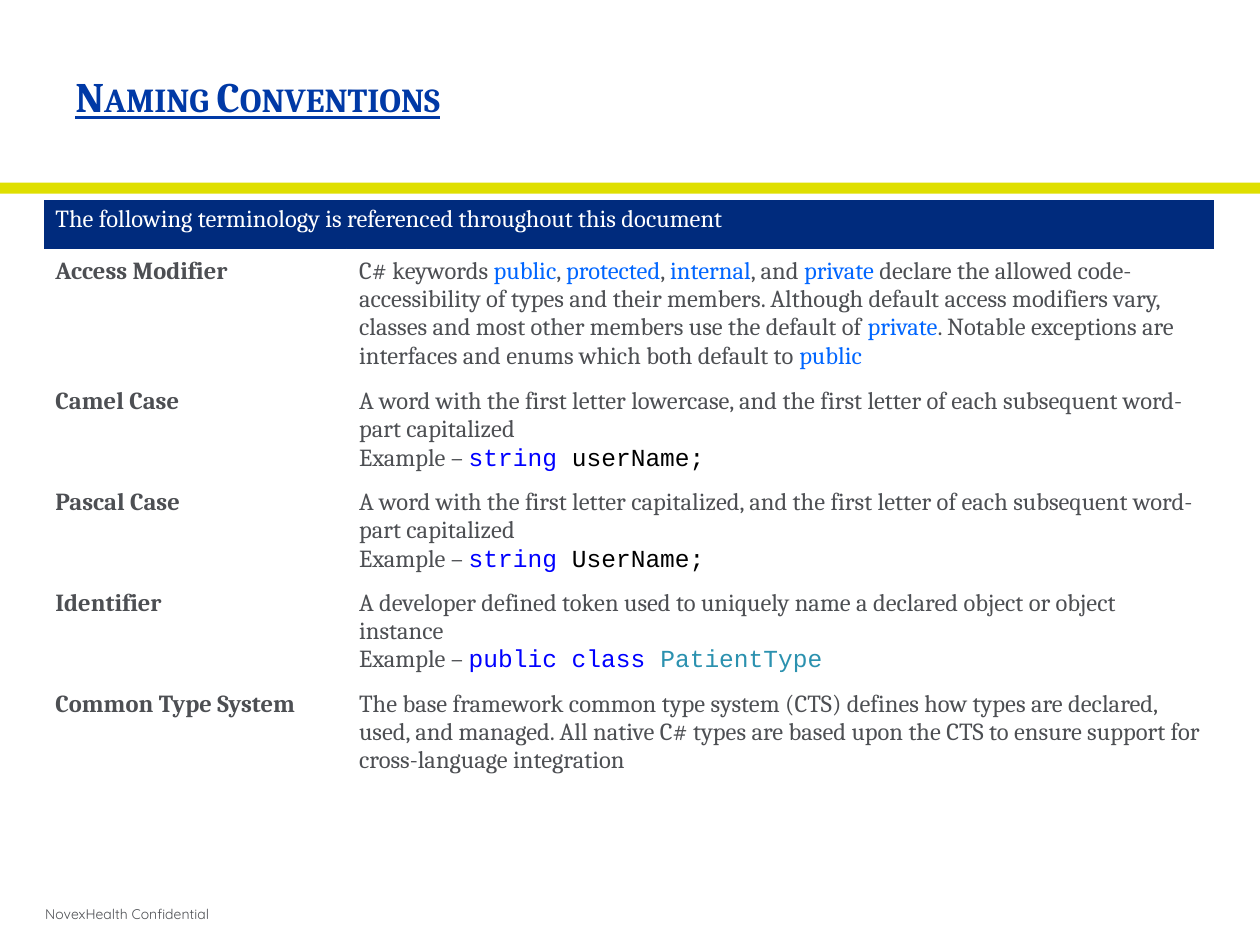
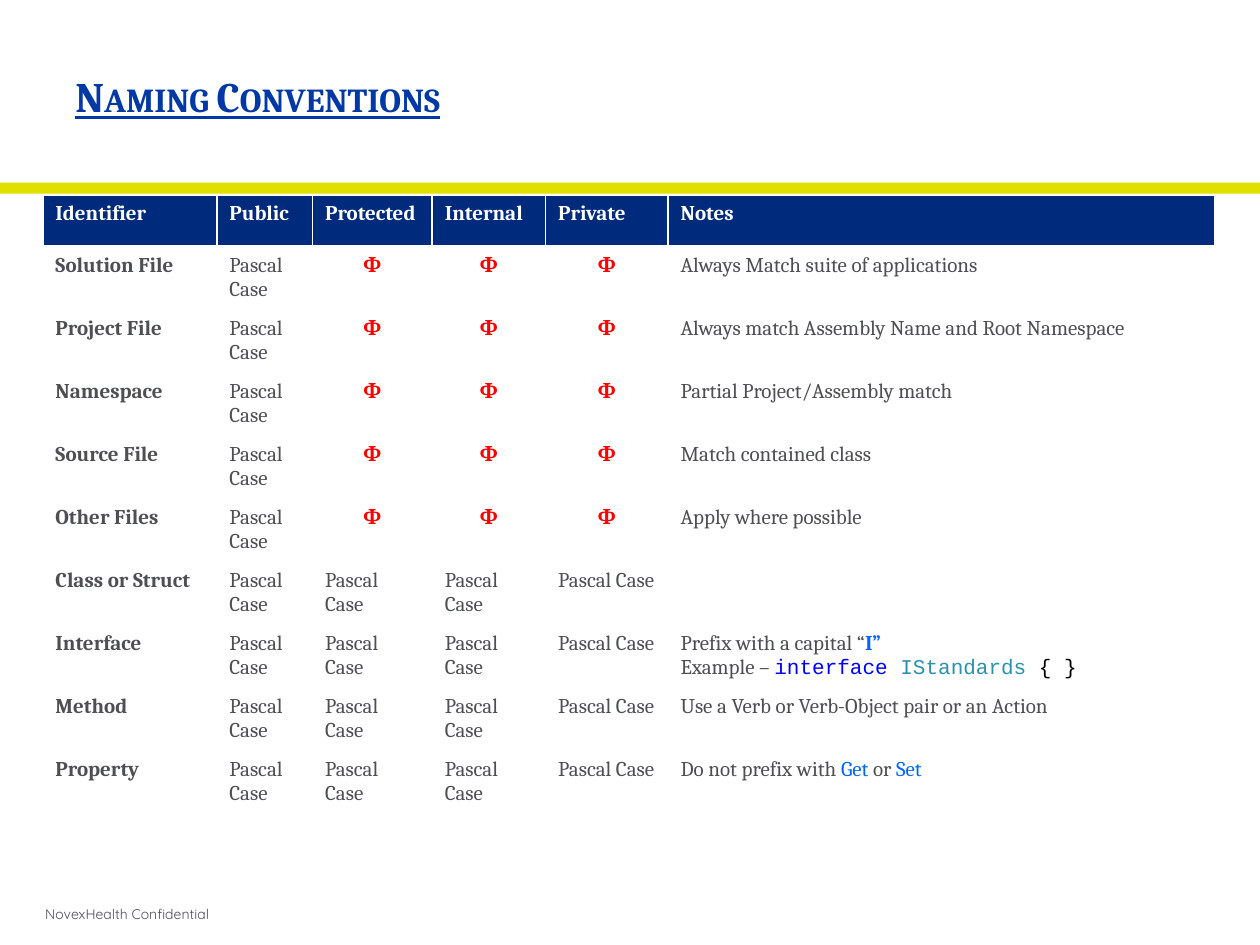
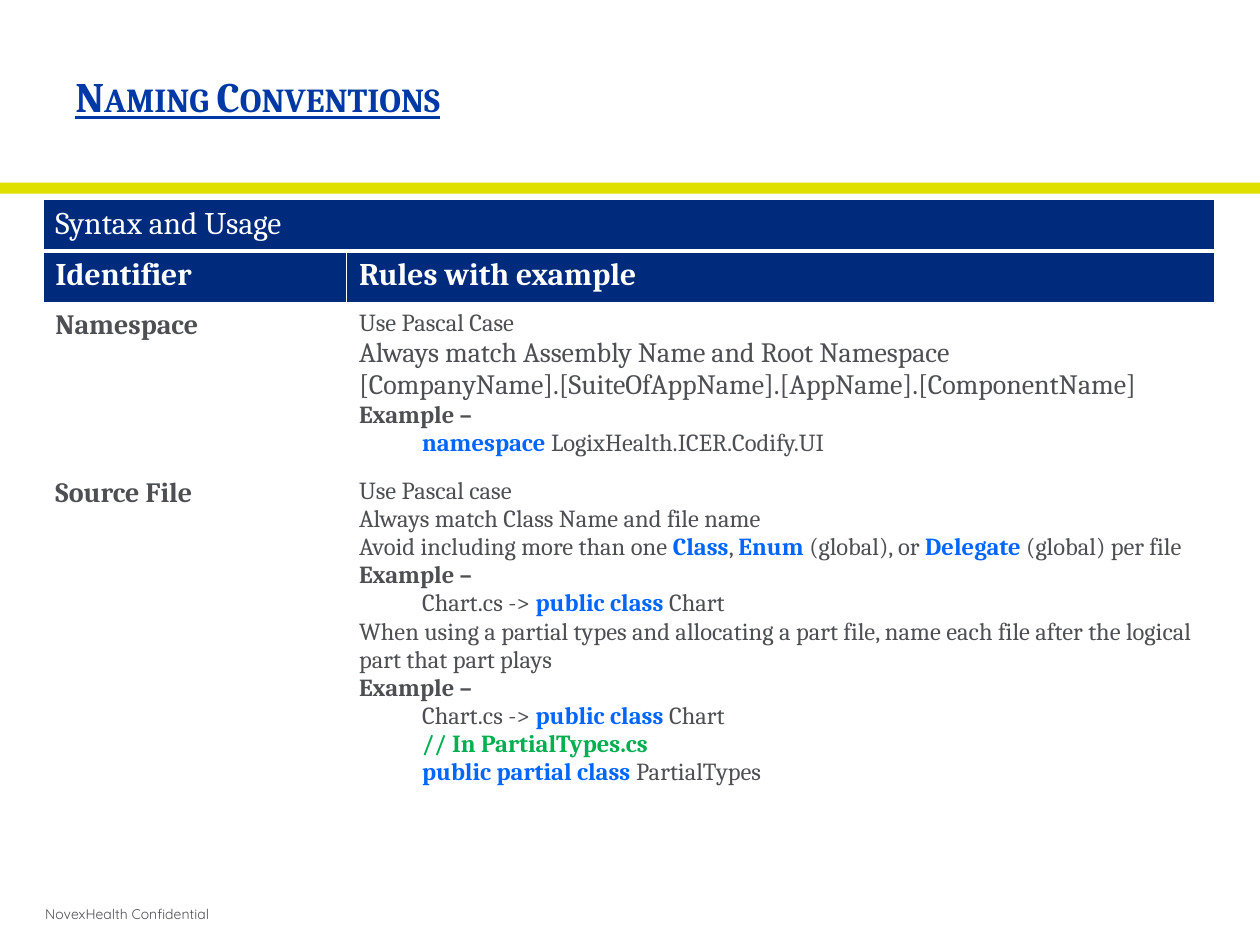
"""Build three slides on C# naming conventions with python-pptx."""
from dataclasses import dataclass, field

from lxml.etree import SubElement
from pptx import Presentation
from pptx.dml.color import RGBColor as Rgb
from pptx.enum.shapes import MSO_SHAPE as Shape
from pptx.enum.text import MSO_ANCHOR as Anchor, PP_ALIGN as Align
from pptx.oxml.ns import qn
from pptx.util import Pt


@dataclass
class Style:
    color: str
    bold: bool = False
    font: str = "Cambria"
    size: float = 0


@dataclass
class Theme:
    band: str = "DFDF00"
    header_fill: str = "002B7D"
    border: str = "FFFFFF"
    small: float = 12
    body: float = 14
    large: float = 16
    styles: dict = field(default_factory=lambda: {
        "title": Style("0039A6", True, size=24),
        "footer": Style("4D4F53", font="Quicksand", size=8),
        "body": Style("4D4F53"),
        "large": Style("4D4F53", size=16),
        "label": Style("4D4F53", True),
        "large label": Style("4D4F53", True, size=16),
        "header": Style("FFFFFF"),
        "heading": Style("FFFFFF", True),
        "large header": Style("FFFFFF", size=18),
        "large heading": Style("FFFFFF", True, size=18),
        "unused": Style("FF0000", True),
        "word": Style("0066FF"),
        "keyword": Style("0066FF", True),
        "comment": Style("00B050", True),
        "code keyword": Style("0000FF", font="Courier New"),
        "code type": Style("2B91AF", font="Courier New"),
        "code": Style("000000", font="Courier New"),
    })


theme = Theme()
INDENT = Pt(36)
TABLE_LEFT, ROW_HEIGHT = 24.5, 29.5
TERM_WIDTHS = [173.5, 496.1]

deck = Presentation()
deck.slide_width, deck.slide_height = Pt(720), Pt(540)


def write(frame, lines, size=0):
    """Fill a text frame with lines of runs, each a string or a (text, style) pair."""
    for index, line in enumerate(lines):
        paragraph = frame.paragraphs[0] if index == 0 else frame.add_paragraph()
        if line[0] == INDENT:
            paragraph.level = 1
            properties = paragraph._p.get_or_add_pPr()
            properties.set("marL", str(INDENT))
            properties.set("indent", "0")
            line = line[1:]
        for part in line:
            text, name = (part, "body") if isinstance(part, str) else part
            style = theme.styles[name]
            run = paragraph.add_run()
            run.text = text
            run.font.name = style.font
            run.font.size = Pt(style.size or size)
            run.font.bold = style.bold
            run.font.color.rgb = Rgb.from_string(style.color)
            if name == "unused":
                paragraph.alignment = Align.CENTER


def add_grid(slide, top, widths, rows, size, header_rows=1):
    """Add a table whose cells are lists of lines and return it."""
    frame = slide.shapes.add_table(len(rows), len(widths), Pt(TABLE_LEFT), Pt(top),
                                   Pt(sum(widths)), Pt(ROW_HEIGHT * len(rows)))
    grid = frame.table
    grid.first_row = grid.horz_banding = False
    for column, width in zip(grid.columns, widths):
        column.width = Pt(width)
    for r, row in enumerate(rows):
        grid.rows[r].height = Pt(ROW_HEIGHT)
        for c, lines in enumerate(row):
            cell = grid.cell(r, c)
            for side in "LRTB":
                width = 3 if r == 0 and side == "B" else 1
                edge = SubElement(cell._tc.get_or_add_tcPr(), qn(f"a:ln{side}"), w=str(Pt(width)))
                SubElement(SubElement(edge, qn("a:solidFill")), qn("a:srgbClr"), val=theme.border)
            if r < header_rows:
                cell.fill.solid()
                cell.fill.fore_color.rgb = Rgb.from_string(theme.header_fill)
            else:
                cell.fill.background()
            write(cell.text_frame, lines, size)
    return grid


slides = []
for _ in range(3):
    slide = deck.slides.add_slide(deck.slide_layouts[6])
    footer = slide.shapes.add_textbox(Pt(18.7), Pt(509.8), Pt(685.4), Pt(25.2)).text_frame
    footer.word_wrap = True
    footer.vertical_anchor = Anchor.MIDDLE
    write(footer, [[("NovexHealth Confidential", "footer")]])

    band = slide.shapes.add_shape(Shape.RECTANGLE, 0, Pt(104.4), Pt(720), Pt(6.3))
    band.shadow.inherit = False
    band.fill.solid()
    band.fill.fore_color.rgb = Rgb.from_string(theme.band)
    band.line.fill.background()

    title = slide.shapes.add_textbox(Pt(36), Pt(36.7), Pt(647.3), Pt(33.8)).text_frame
    title.word_wrap = True
    write(title, [[("Naming Conventions", "title")]])
    title_font = title.paragraphs[0].runs[0].font
    title_font.underline = True
    title_font._element.set("cap", "small")
    slides.append(slide)

terms = [
    ("Access Modifier", [[
        "C# keywords ", ("public", "word"), ", ", ("protected", "word"), ", ",
        ("internal", "word"), ", and ", ("private", "word"),
        " declare the allowed code-accessibility of types and their members. Although default "
        "access modifiers vary, classes and most other members use the default of ",
        ("private", "word"),
        ". Notable exceptions are interfaces and enums which both default to ",
        ("public", "word")]]),
    ("Camel Case", [
        ["A word with the first letter lowercase, and the first letter of each subsequent "
         "word-part capitalized"],
        ["Example – ", ("string ", "code keyword"), ("userName;", "code")]]),
    ("Pascal Case", [
        ["A word with the first letter capitalized, and the first letter of each subsequent "
         "word-part capitalized"],
        ["Example – ", ("string ", "code keyword"), ("UserName;", "code")]]),
    ("Identifier", [
        ["A developer defined token used to uniquely name a declared object or object instance"],
        ["Example – ", ("public class ", "code keyword"), ("PatientType", "code type")]]),
    ("Common Type System", [[
        "The base framework common type system (CTS) defines how types are declared, used, and "
        "managed. All native C# types are based upon the CTS to ensure support for "
        "cross-language integration"]]),
]
term_rows = [[[[("The following terminology is referenced throughout this document", "header")]], []]]
term_rows += [[[[(term, "label")]], meaning] for term, meaning in terms]
term_table = add_grid(slides[0], 114, TERM_WIDTHS, term_rows, theme.body)
term_table.cell(0, 0).merge(term_table.cell(0, 1))

headings = ["Identifier", "Public", "Protected", "Internal", "Private", "Notes"]
pascal, unused = [["Pascal Case"]], [[("Ф", "unused")]]
file_notes = [
    ("Solution File", [["Always Match suite of applications"]]),
    ("Project File", [["Always match Assembly Name and Root Namespace"]]),
    ("Namespace", [["Partial Project/Assembly match"]]),
    ("Source File", [["Match contained class"]]),
    ("Other Files", [["Apply where possible"]]),
]
member_notes = [
    ("Class or Struct", []),
    ("Interface", [
        ["Prefix with a capital “", ("I”", "keyword")],
        ["Example – ", ("interface ", "code keyword"), ("IStandards", "code type"),
         (" { }", "code")]]),
    ("Method", [["Use a Verb or Verb-Object pair or an Action"]]),
    ("Property", [["Do not prefix with ", ("Get", "word"), " or ", ("Set", "word")]]),
]
casing_rows = [[[[(heading, "heading")]] for heading in headings]]
for notes, restricted in ((file_notes, unused), (member_notes, pascal)):
    for identifier, note in notes:
        casing_rows.append([[[(identifier, "label")]], pascal, *[restricted] * 3, note])
add_grid(slides[1], 111.6, [99.4, 54.7, 68.4, 64.8, 70, 312.3], casing_rows, theme.small)

example = [("Example –", "label")]
chart_class = [INDENT, "Chart.cs -> ", ("public class ", "keyword"), "Chart"]
namespace_rules = [
    ["Use Pascal Case"],
    [("Always match Assembly Name and Root Namespace", "large")],
    [("[CompanyName].[SuiteOfAppName].[AppName].[ComponentName]", "large")],
    example,
    [INDENT, ("namespace ", "keyword"), "LogixHealth.ICER.Codify.UI"],
]
source_file_rules = [
    ["Use Pascal case"],
    ["Always match Class Name and file name"],
    ["Avoid including more than one ", ("Class", "keyword"), ", ", ("Enum ", "keyword"),
     "(global), or ", ("Delegate", "keyword"), " (global) per file"],
    example,
    chart_class,
    ["When using a partial types and allocating a part file, name each file after the logical "
     "part that part plays"],
    example,
    chart_class,
    [INDENT, ("// In PartialTypes.cs", "comment")],
    [INDENT, ("public partial class ", "keyword"), "PartialTypes"],
]
syntax_rows = [
    [[[("Syntax and Usage", "large header")]], []],
    [[[(heading, "large heading")]] for heading in ("Identifier", "Rules with example")],
    [[[("Namespace", "large label")]], namespace_rules],
    [[[("Source File", "large label")]], source_file_rules],
]
syntax_table = add_grid(slides[2], 114, TERM_WIDTHS, syntax_rows, theme.body, header_rows=2)
syntax_table.cell(0, 0).merge(syntax_table.cell(0, 1))

deck.save("out.pptx")
